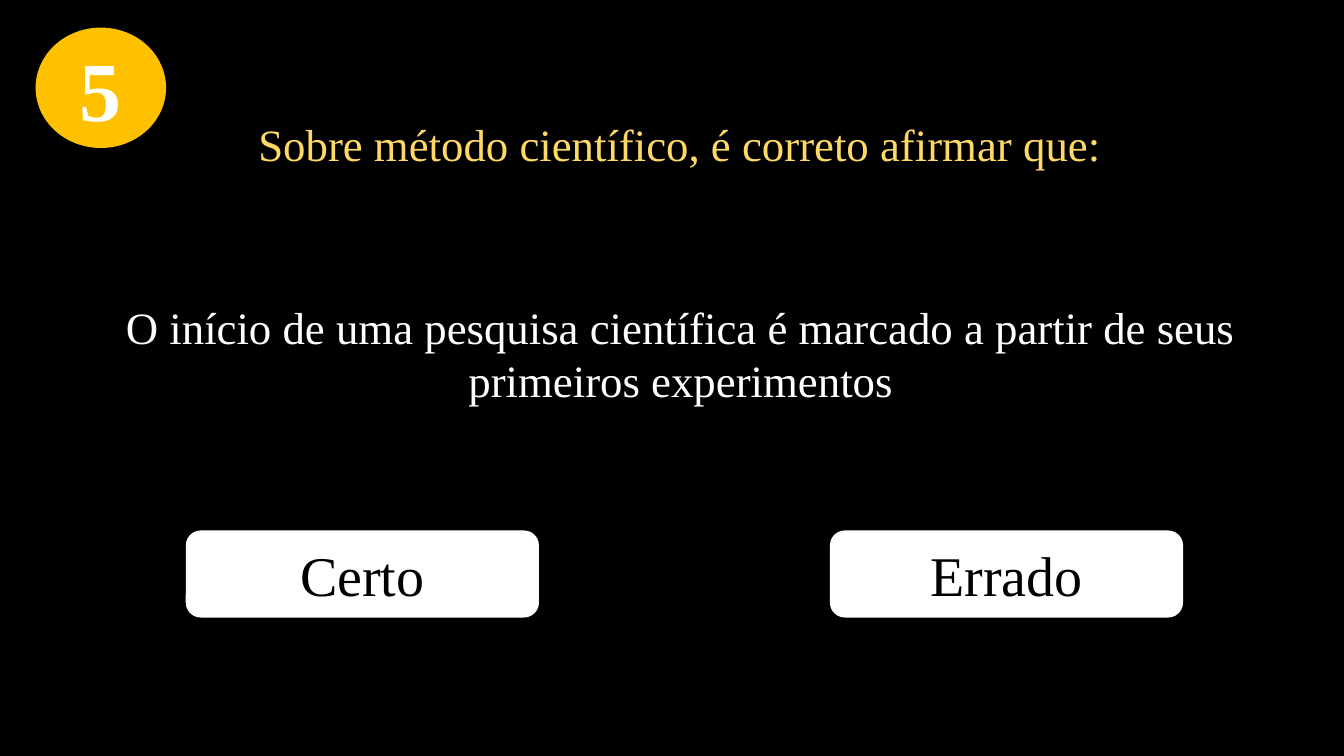
from pptx import Presentation
from pptx.dml.color import RGBColor
from pptx.enum import shapes, text
from pptx.util import Pt

FONT = "Times New Roman"
BLACK = RGBColor(0x00, 0x00, 0x00)
WHITE = RGBColor(0xFF, 0xFF, 0xFF)
AMBER = RGBColor(0xFF, 0xC0, 0x00)
PALE_AMBER = RGBColor(0xFF, 0xD9, 0x66)

# wording, (left, top, width, height), colour
STATEMENTS = [
    ("Sobre método científico, é correto afirmar que:",
     (140.4, 79.9, 690.5, 46.1), PALE_AMBER),
    ("O início de uma pesquisa científica é marcado a partir de seus "
     "primeiros experimentos",
     (55.4, 210.2, 861.8, 85), WHITE),
]
ANSWERS = ["Certo", "Errado"]
ANSWER_LEFT, ANSWER_TOP, ANSWER_STEP = 133.2, 379.4, 460.1
ANSWER_W, ANSWER_H = 251.3, 61.2
NUMBER = "5"
NUMBER_BOX = (25.9, 20.2, 92.2, 85)


def write(s, wording, size, color, bold=False):
    tf = s.text_frame
    tf.word_wrap = True
    p = tf.paragraphs[0]
    p.alignment = text.PP_ALIGN.CENTER
    r = p.add_run()
    r.text = wording
    r.font.name = FONT
    r.font.size = Pt(size)
    r.font.bold = bold
    r.font.color.rgb = color


def add_button(slide, kind, box, fill):
    s = slide.shapes.add_shape(kind, *map(Pt, box))
    s.shadow.inherit = False
    s.fill.solid()
    s.fill.fore_color.rgb = fill
    s.line.color.rgb = fill
    s.line.width = Pt(1)
    s.text_frame.vertical_anchor = text.MSO_ANCHOR.MIDDLE
    return s


def main():
    prs = Presentation()
    prs.slide_width, prs.slide_height = Pt(960), Pt(540)
    slide = prs.slides.add_slide(prs.slide_layouts[6])
    slide.background.fill.solid()
    slide.background.fill.fore_color.rgb = BLACK

    for wording, box, color in STATEMENTS:
        s = slide.shapes.add_textbox(*map(Pt, box))
        write(s, wording, 32, color)
        s.text_frame.auto_size = text.MSO_AUTO_SIZE.SHAPE_TO_FIT_TEXT

    for i, answer in enumerate(ANSWERS):
        box = (ANSWER_LEFT + i * ANSWER_STEP, ANSWER_TOP, ANSWER_W, ANSWER_H)
        s = add_button(slide, shapes.MSO_SHAPE.ROUNDED_RECTANGLE, box, WHITE)
        write(s, answer, 40, BLACK)

    badge = add_button(slide, shapes.MSO_SHAPE.OVAL, NUMBER_BOX, AMBER)
    write(badge, NUMBER, 60, WHITE, bold=True)

    prs.save("out.pptx")


if __name__ == "__main__":
    main()
